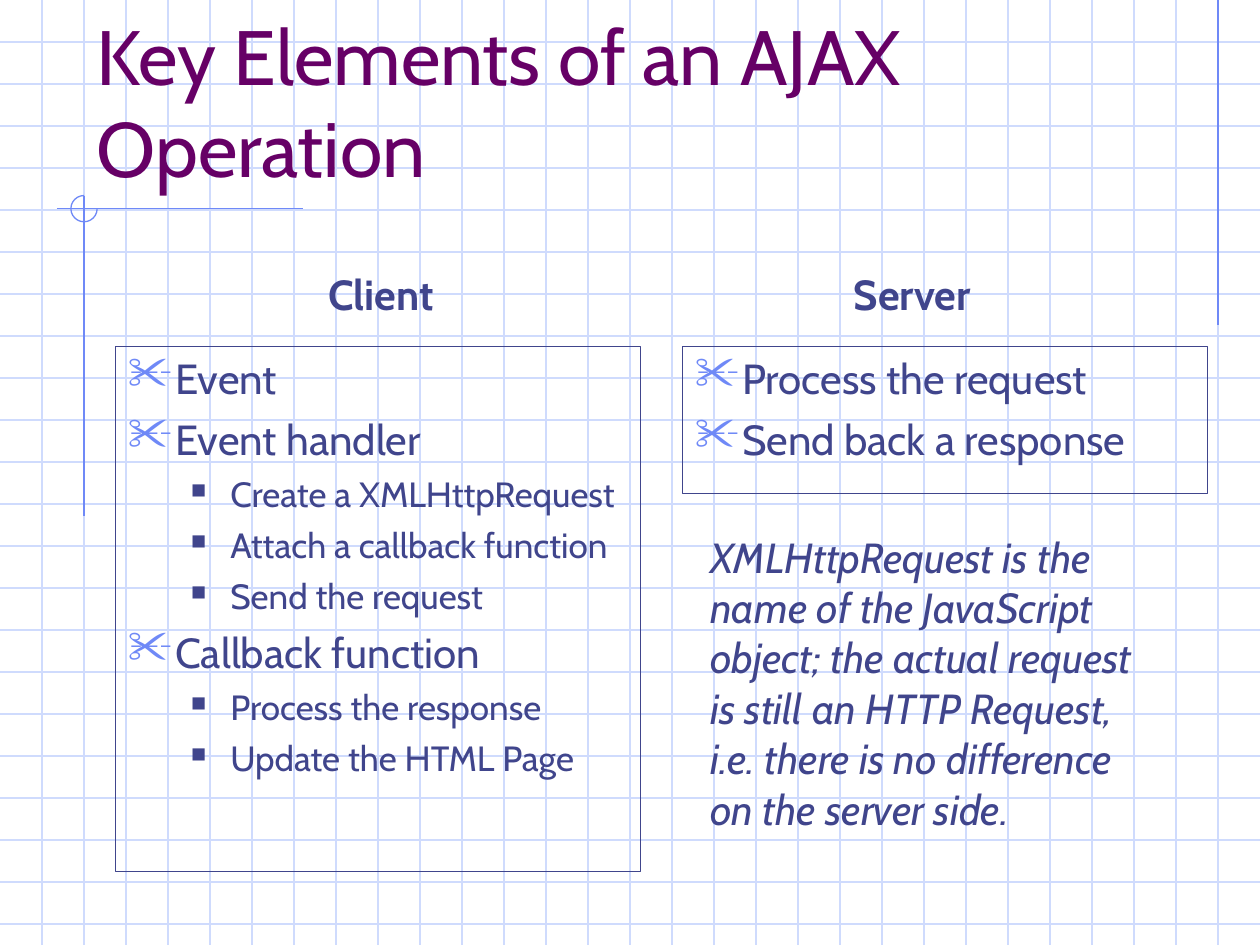
from lxml.etree import SubElement
from pptx import Presentation
from pptx.dml.color import RGBColor
from pptx.enum.shapes import MSO_CONNECTOR, MSO_SHAPE
from pptx.enum.text import MSO_ANCHOR, MSO_AUTO_SIZE, PP_ALIGN
from pptx.oxml.ns import qn
from pptx.util import Pt

WIDE, HIGH, STEP = 720, 540, 24
FACE = "Cabin"
PALE = RGBColor(0xCF, 0xDB, 0xFD)
BLUE = RGBColor(0x6F, 0x89, 0xF7)
NAVY = RGBColor(0x40, 0x45, 0x8C)
PLUM = RGBColor(0x66, 0x00, 0x66)

# Bullet and paragraph format for each list level
LEVELS = [
    dict(sign="✂", tint=BLUE, scale=110, left=27, hang=22.5 + 4.5, size=24, gap=6),
    dict(sign="■", tint=NAVY, scale=60, left=58.5, hang=22.5, size=20, gap=5),
]
CLIENT = [
    (0, "Event"),
    (0, "Event handler"),
    (1, "Create a XMLHttpRequest"),
    (1, "Attach a callback function"),
    (1, "Send the request"),
    (0, "Callback function"),
    (1, "Process the response"),
    (1, "Update the HTML Page"),
]
SERVER = [(0, "Process the request"), (0, "Send back a response")]
NOTE = [
    "XMLHttpRequest is the",
    "name of the JavaScript",
    "object; the actual request",
    "is still an HTTP Request,",
    "i.e. there is no difference",
    "on the server side.",
]


def style(font, color, **form):
    font.color.rgb = color
    for key, value in {"name": FACE, **form}.items():
        setattr(font, key, value)


def rule(slide, x1, y1, x2, y2, color):
    line = slide.shapes.add_connector(
        MSO_CONNECTOR.STRAIGHT, Pt(x1), Pt(y1), Pt(x2), Pt(y2))
    line.line.color.rgb = color
    line.line.width = Pt(0.75)
    SubElement(line._element.spPr, qn("a:effectLst"))


def bullet(para, level):
    form = LEVELS[level]
    props = para._p.get_or_add_pPr()
    props.set("marL", str(Pt(form["left"])))
    props.set("indent", str(-Pt(form["hang"])))
    tint = SubElement(props, qn("a:buClr"))
    SubElement(tint, qn("a:srgbClr"), val=str(form["tint"]))
    SubElement(props, qn("a:buSzPct"), val=str(form["scale"] * 1000))
    SubElement(props, qn("a:buChar"), char=form["sign"])


def add_grid(slide, wide, high):
    for y in range(STEP, high, STEP):
        rule(slide, 0, y, wide, y, PALE)
    for x in range(STEP, wide, STEP):
        rule(slide, x, 0, x, high, PALE)


def add_marks(slide, x, y, right):
    # Right margin line, then the cross below the title
    rule(slide, right, 0, right, 186, BLUE)
    rule(slide, x - 15.5, y, x + 125, y, BLUE)
    rule(slide, x, y - 7.5, x, y + 175.5, BLUE)
    # Three quarters of a ring, open at the upper right
    ring = slide.shapes.add_shape(
        MSO_SHAPE.ARC, Pt(x - 7.5), Pt(y - 7.5), Pt(15), Pt(15))
    ring.adjustments[0] = 0
    ring.adjustments[1] = 162
    ring.shadow.inherit = False
    ring.fill.background()
    ring.line.color.rgb = BLUE
    ring.line.width = Pt(0.75)


def add_title(slide, x, y, wide, high):
    title = slide.shapes.title
    place = dict(left=x, top=y, width=wide, height=high)
    for key, value in place.items():
        setattr(title, key, Pt(value))
    frame = title.text_frame
    form = dict(text="Key Elements of an AJAX Operation", word_wrap=True,
                auto_size=MSO_AUTO_SIZE.NONE, vertical_anchor=MSO_ANCHOR.BOTTOM)
    for key, value in form.items():
        setattr(frame, key, value)
    para = frame.paragraphs[0]
    para.alignment = PP_ALIGN.LEFT
    style(para.font, PLUM, size=Pt(44))
    # Bring the title in front of the grid
    slide.shapes._spTree.append(title._element)


def add_list(slide, items, x, y, wide, high):
    box = slide.shapes.add_shape(
        MSO_SHAPE.RECTANGLE, Pt(x), Pt(y), Pt(wide), Pt(high))
    box.shadow.inherit = False
    box.fill.background()
    box.line.color.rgb = NAVY
    box.line.width = Pt(1)
    frame = box.text_frame
    frame.word_wrap = True
    frame.vertical_anchor = MSO_ANCHOR.TOP
    for i, (level, text) in enumerate(items):
        para = frame.add_paragraph() if i else frame.paragraphs[0]
        para.text = text
        para.level = level
        bullet(para, level)
        para.alignment = PP_ALIGN.LEFT
        para.space_before = Pt(LEVELS[level]["gap"] if i else 0)
        style(para.font, NAVY, size=Pt(LEVELS[level]["size"]))


def add_text(slide, lines, x, y, wide, high, **form):
    box = slide.shapes.add_textbox(Pt(x), Pt(y), Pt(wide), Pt(high))
    frame = box.text_frame
    frame.word_wrap = False
    frame.text = "\n".join(lines)
    for para in frame.paragraphs:
        para.alignment = PP_ALIGN.LEFT
        style(para.font, NAVY, size=Pt(24), **form)


def main():
    deck = Presentation()
    deck.slide_width, deck.slide_height = Pt(WIDE), Pt(HIGH)
    slide = deck.slides.add_slide(deck.slide_layouts[5])

    # Graph paper and title
    add_grid(slide, WIDE, HIGH)
    add_marks(slide, 48, 119.25, 696)
    add_title(slide, 48, 24, 612, 90)

    # Client and server columns
    add_list(slide, CLIENT, 66, 198, 300, 300)
    add_list(slide, SERVER, 390, 198, 300, 84)
    add_text(slide, ["Client"], 180.5, 150, 84, 36, bold=True)
    add_text(slide, ["Server"], 480.75, 150, 91.5, 36, bold=True)

    # Remark below the server list
    add_text(slide, NOTE, 398.75, 300, 283, 180, italic=True)
    deck.save("out.pptx")


if __name__ == "__main__":
    main()
